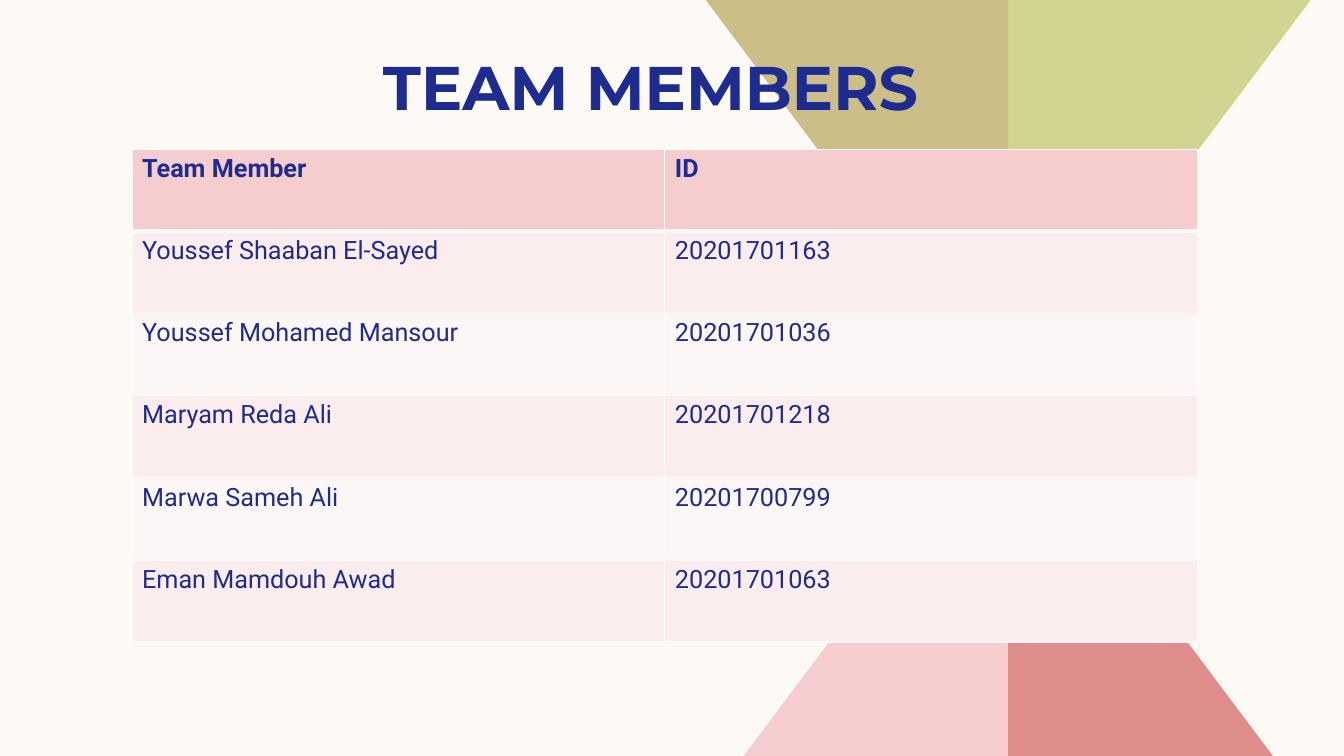
import pptx
import pptx.util
import pptx.dml.color
import pptx.enum.text
import pptx.oxml
import pptx.oxml.ns
from pptx.util import Inches, Pt
from pptx.dml.color import RGBColor

CREAM = RGBColor(0xFD, 0xFA, 0xF6)
NAVY = RGBColor(0x1F, 0x2C, 0x8F)
PINK = RGBColor(0xF5, 0xCD, 0xCE)
ROSE = RGBColor(0xDE, 0x8C, 0x8C)
LIME = RGBColor(0xD2, 0xD5, 0x92)
SAND = RGBColor(0xCC, 0xBE, 0x89)
BLUSH = RGBColor(0xFB, 0xED, 0xED)
PALE = RGBColor(0xFD, 0xF6, 0xF6)


def add_run(paragraph, text, font_name, size, bold):
    run = paragraph.add_run()
    run.text = text
    run.font.name = font_name
    run.font.size = Pt(size)
    run.font.bold = bold
    run.font.color.rgb = NAVY


def set_border(cell, side, points):
    """Draw one cell edge (L, R, T or B) in the background colour."""
    namespace = pptx.oxml.ns.nsdecls("a")
    edge = pptx.oxml.parse_xml(
        f'<a:ln{side} {namespace} w="{Pt(points)}"><a:solidFill>'
        f'<a:srgbClr val="{CREAM}"/></a:solidFill></a:ln{side}>')
    properties = cell._tc.get_or_add_tcPr()
    properties.insert("LRTB".index(side), edge)


presentation = pptx.Presentation()
presentation.slide_width = Inches(13.33)
presentation.slide_height = Inches(7.5)
slide = presentation.slides.add_slide(presentation.slide_layouts[6])
slide.background.fill.solid()
slide.background.fill.fore_color.rgb = CREAM

# Corner triangles: inner x, outer x, tip y, edge y, colour
triangles = [
    (10.21, 7.06, 3.72, 7.52, PINK),
    (10.19, 13.33, 3.72, 7.52, ROSE),
    (10.19, 13.35, 3.79, 0, LIME),
    (10.21, 7.07, 3.79, 0, SAND),
]
for inner, outer, tip, edge, color in triangles:
    outline = slide.shapes.build_freeform(inner, tip, scale=Inches(1))
    outline.add_line_segments([(outer, edge), (inner, edge)], close=True)
    triangle = outline.convert_to_shape()
    triangle.shadow.inherit = False
    triangle.fill.solid()
    triangle.fill.fore_color.rgb = color
    triangle.line.fill.background()

title = slide.shapes.add_textbox(Inches(3.7), Inches(0.41), Inches(6.51), Inches(0.82))
title_frame = title.text_frame
title_frame.word_wrap = True
title_frame.margin_top = Inches(0.08)
title_frame.margin_bottom = 0
title_frame.vertical_anchor = pptx.enum.text.MSO_ANCHOR.TOP
add_run(title_frame.paragraphs[0], "TEAM MEMBERS", "Montserrat", 44, True)

members = [
    ("Team Member", "ID"),
    ("Youssef Shaaban El-Sayed", "20201701163"),
    ("Youssef Mohamed Mansour", "20201701036"),
    ("Maryam Reda Ali", "20201701218"),
    ("Marwa Sameh Ali", "20201700799"),
    ("Eman Mamdouh Awad", "20201701063"),
]
roster = slide.shapes.add_table(
    len(members), 2, Inches(1.31), Inches(1.48), Inches(10.57), Inches(4.89)).table
for row, member in enumerate(members):
    is_header = row == 0
    for column, text in enumerate(member):
        cell = roster.cell(row, column)
        cell.fill.solid()
        cell.fill.fore_color.rgb = PINK if is_header else (PALE, BLUSH)[row % 2]
        for side in "LRTB":
            heavy = (row, side) in [(0, "B"), (1, "T")]
            set_border(cell, side, 3 if heavy else 1)
        add_run(cell.text_frame.paragraphs[0], text, "Roboto", 18, is_header)

presentation.save("out.pptx")
